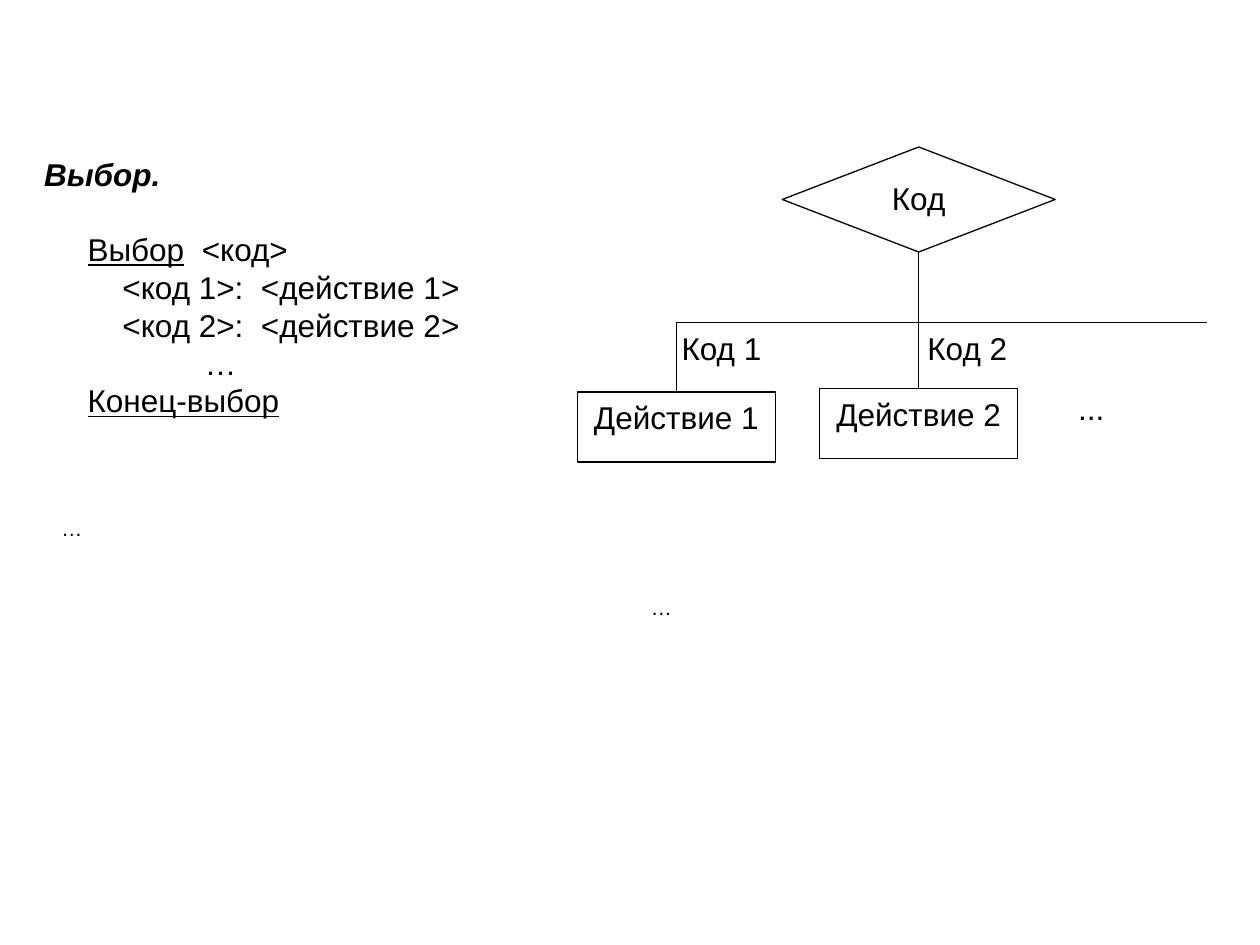
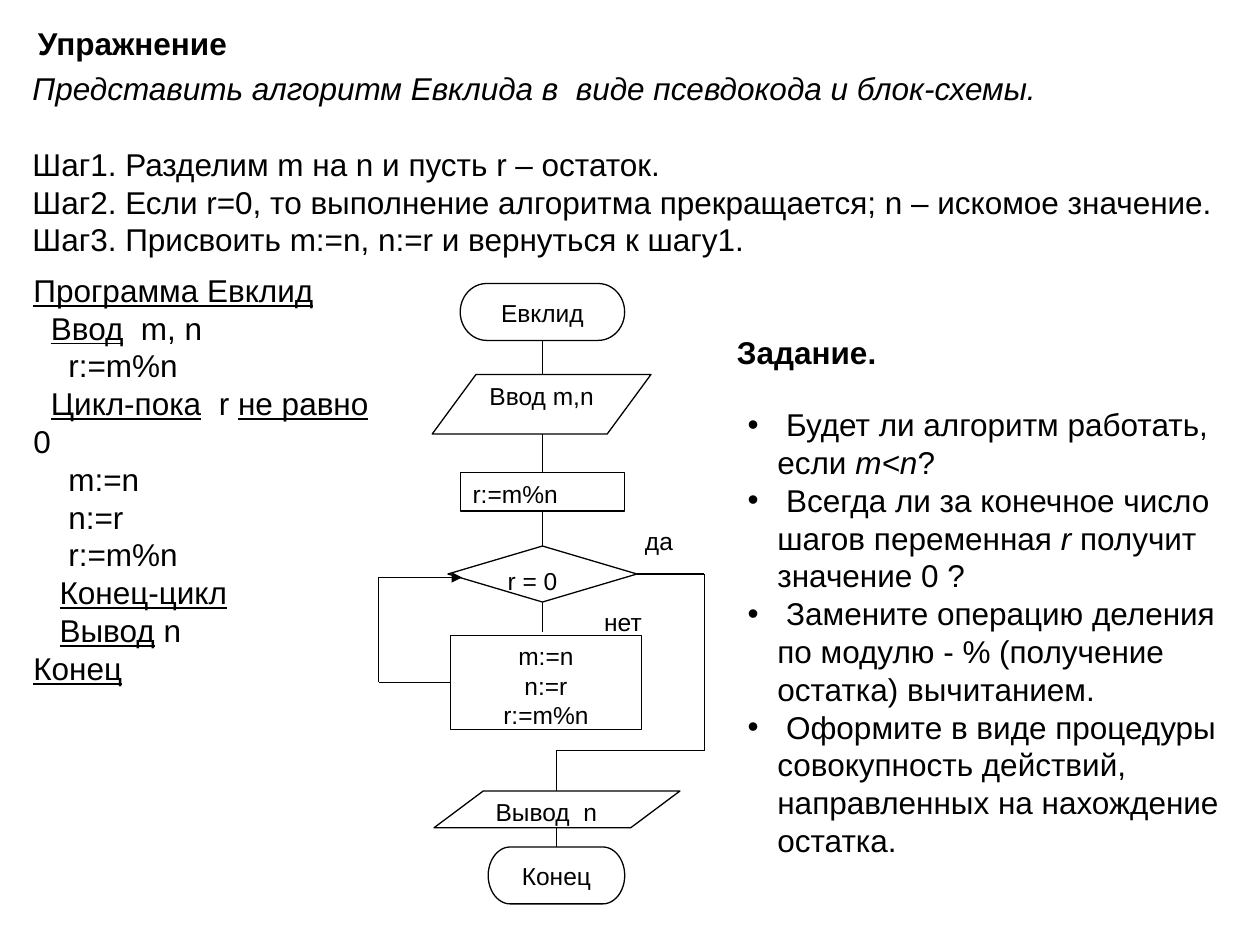
from lxml import etree
from pptx import Presentation
from pptx.dml.color import RGBColor
from pptx.enum import shapes, text
from pptx.oxml import ns
from pptx.util import Pt

COLOURS = {"ink": "000000", "paper": "FFFFFF"}
FONT = "Arial"
LARGE, MEDIUM, SMALL = 18, 14, 12
LEADING = 1.2
LEFT, CENTRE = text.PP_ALIGN.LEFT, text.PP_ALIGN.CENTER
TOP, MIDDLE = text.MSO_ANCHOR.TOP, text.MSO_ANCHOR.MIDDLE
BLOCK = shapes.MSO_SHAPE


def colour(name):
    return RGBColor.from_string(COLOURS[name])


class Deck:
    def __init__(self):
        self.prs = Presentation()
        self.prs.slide_width, self.prs.slide_height = Pt(720), Pt(540)
        self.slide = None

    def new_slide(self, layout):
        self.slide = self.prs.slides.add_slide(self.prs.slide_layouts[layout])

    def set_lines(self, shape, lines, size=LARGE, align=LEFT, anchor=TOP,
                  bold=None, italic=None, gaps=None, indents=None):
        """A line is a string or a list of (string, style) with style "", "u" or "i"."""
        frame = shape.text_frame
        frame.word_wrap = True
        frame.auto_size = text.MSO_AUTO_SIZE.NONE
        frame.vertical_anchor = anchor
        frame.margin_left = frame.margin_right = Pt(7.2)
        frame.margin_top = frame.margin_bottom = Pt(3.6)
        for i, line in enumerate(lines):
            para = frame.paragraphs[0] if i == 0 else frame.add_paragraph()
            para.alignment = align
            para.line_spacing = Pt(size * LEADING)
            para.space_before = Pt((gaps or {}).get(i, 0))
            if i in (indents or {}):
                self.indent(para, indents[i])
            font = para.font
            font.name, font.size = FONT, Pt(size)
            font.bold, font.italic = bold, italic
            font.color.rgb = colour("ink")
            for words, style in [(line, "")] if isinstance(line, str) else line:
                run = para.add_run()
                run.text = words
                if style == "u":
                    run.font.underline = True
                elif style == "i":
                    run.font.italic = True

    @staticmethod
    def indent(para, margin, first=0):
        props = para._p.get_or_add_pPr()
        props.set("marL", str(Pt(margin)))
        props.set("indent", str(Pt(first)))

    def place(self, shape, box):
        shape.left, shape.top, shape.width, shape.height = map(Pt, box)
        return shape

    def title(self, box, words, **style):
        self.set_lines(self.place(self.slide.shapes.title, box), [words], bold=True, **style)

    def bullets(self, box, lines, hang):
        body = self.place(self.slide.placeholders[1], box)
        self.set_lines(body, lines)
        for para in body.text_frame.paragraphs:
            self.indent(para, hang, -hang)

    def label(self, box, lines, **style):
        self.set_lines(self.slide.shapes.add_textbox(*map(Pt, box)), lines, **style)

    def block(self, kind, box, lines, align=CENTRE, size=MEDIUM):
        shape = self.slide.shapes.add_shape(kind, *map(Pt, box))
        shape.shadow.inherit = False
        shape.fill.solid()
        shape.fill.fore_color.rgb = colour("paper")
        shape.line.color.rgb = colour("ink")
        shape.line.width = Pt(0.75)
        self.set_lines(shape, lines, size=size, align=align)
        return shape

    def line(self, x1, y1, x2, y2, start=None, finish=None, arrow=False):
        """start and finish are (block, side) pairs to join."""
        link = self.slide.shapes.add_connector(
            shapes.MSO_CONNECTOR.STRAIGHT, Pt(x1), Pt(y1), Pt(x2), Pt(y2))
        link.line.color.rgb = colour("ink")
        link.line.width = Pt(0.75)
        props = link._element.spPr
        if arrow:
            etree.SubElement(props.find(ns.qn("a:ln")), ns.qn("a:tailEnd"), type="triangle")
        etree.SubElement(props, ns.qn("a:effectLst"))
        if start:
            link.begin_connect(*start)
        if finish:
            link.end_connect(*finish)


def choice_slide(deck):
    deck.new_slide(5)
    deck.title((18, 85, 252, 29), "Выбор.", italic=True)

    # Pseudocode
    deck.label((18, 128, 252, 116), [
        [("     ", ""), ("Выбор", "u"), ("  <код>", "")],
        "         <код 1>:  <действие 1>",
        "         <код 2>:  <действие 2>",
        "…",
        [("     ", ""), ("Конец-выбор", "u")],
    ], indents={3: 92})

    # Flowchart
    axis, branch_y = 525, 184.5
    code = deck.block(BLOCK.FLOWCHART_DECISION, (axis - 78, 84, 156, 60), ["Код"], size=LARGE)
    deck.line(axis, 144, axis, branch_y, start=(code, 2))
    deck.line(386.5, branch_y, 690, branch_y)
    for number, x, top, label_left in ((1, 386.5, 224, 373), (2, axis, 222, 513.5)):
        action = deck.block(BLOCK.FLOWCHART_PROCESS, (x - 56.5, top, 113, 40),
                            [f"Действие {number}"], size=LARGE)
        deck.line(x, branch_y, x, top, finish=(action, 0))
        deck.label((label_left, branch_y, 78.5, 42), [f"Код {number}"], align=CENTRE)
    deck.label((609, 219, 72, 45), ["..."])

    # Loose ellipses
    deck.label((18, 277, 76, 50), ["…"], size=SMALL, anchor=MIDDLE, indents={0: 10})
    deck.label((358, 336, 40, 19), ["…"], size=SMALL, align=CENTRE)


def euclid_flowchart(deck):
    axis, exit_x, exit_y, out_axis, loop_x = 310, 402.5, 429, 318, 216.5

    # Blocks
    begin = deck.block(BLOCK.FLOWCHART_TERMINATOR, (axis - 47, 162, 94, 32.5), ["Евклид"])
    deck.block(BLOCK.FLOWCHART_DATA, (axis - 63, 214, 125, 34), ["Ввод m,n"])
    remainder = deck.block(BLOCK.FLOWCHART_PROCESS, (axis - 47, 270, 94, 22),
                           ["r:=m%n"], align=LEFT)
    test = deck.block(BLOCK.FLOWCHART_DECISION, (axis - 54, 312, 108, 32),
                      ["r = 0"], align=LEFT)
    shift = deck.block(BLOCK.FLOWCHART_PROCESS, (257.5, 363, 109, 54),
                       ["m:=n", "n:=r", "r:=m%n"])
    deck.block(BLOCK.FLOWCHART_DATA, (248, 452, 140.5, 21), ["Вывод  n"], align=LEFT)
    end = deck.block(BLOCK.FLOWCHART_TERMINATOR, (out_axis - 39, 484, 78, 32.5), ["Конец"])

    # Main path
    deck.line(axis, 195, axis, 214, start=(begin, 2))
    deck.line(axis, 248, axis, 270, finish=(remainder, 0))
    deck.line(axis, 292, axis, 312, start=(remainder, 2), finish=(test, 0))
    deck.line(axis, 344, axis, 361, start=(test, 2))

    # Exit branch
    deck.line(364, 328, exit_x, 328, start=(test, 3))
    deck.line(exit_x, 328, exit_x, exit_y)
    deck.line(out_axis, exit_y, exit_x, exit_y)
    deck.line(out_axis, exit_y, out_axis, 452)
    deck.line(out_axis, 473, out_axis, 484, finish=(end, 0))

    # Loop back
    deck.line(loop_x, 390, 257.5, 390, finish=(shift, 1))
    deck.line(loop_x, 330, loop_x, 390)
    deck.line(loop_x, 330, 264, 330, arrow=True)

    deck.label((361.5, 297, 47, 22), ["да"], size=MEDIUM)
    deck.label((325, 343.5, 62, 22), ["нет"], size=MEDIUM, align=CENTRE)


def exercise_slide(deck):
    deck.new_slide(1)
    deck.title((14.5, 10, 136, 29), "Упражнение")

    # Task and steps
    deck.label((11.5, 36, 700, 115), [
        [("Представить алгоритм Евклида в  виде псевдокода и блок-схемы.", "i")],
        "Шаг1. Разделим m на n и пусть r – остаток.",
        "Шаг2. Если r=0, то выполнение алгоритма прекращается; n – искомое значение.",
        "Шаг3. Присвоить m:=n, n:=r и вернуться к шагу1.",
    ], gaps={1: LARGE * LEADING})

    # Pseudocode
    deck.label((12, 151, 212, 245), [
        [("Программа Евклид", "u")],
        [("  ", ""), ("Ввод", "u"), ("  m, n", "")],
        "    r:=m%n",
        [("  ", ""), ("Цикл-пока", "u"), ("  r ", ""), ("не равно", "u"), (" 0", "")],
        "    m:=n",
        "    n:=r",
        "    r:=m%n",
        [("   ", ""), ("Конец-цикл", "u")],
        [("   ", ""), ("Вывод", "u"), (" n", "")],
        [("Конец", "u")],
    ], anchor=MIDDLE)

    euclid_flowchart(deck)

    # Questions
    deck.label((414, 187, 96, 29), ["Задание."], bold=True)
    deck.bullets((420, 228, 288, 267), [
        [(" Будет ли алгоритм работать, если ", ""), ("m<n", "i"), ("?", "")],
        [(" Всегда ли за конечное число шагов переменная ", ""), ("r", "i"),
         (" получит значение 0 ?", "")],
        " Замените операцию деления по модулю - % (получение остатка) вычитанием.",
        " Оформите в виде процедуры совокупность действий, направленных на "
        "нахождение остатка.",
    ], hang=17)


def main():
    deck = Deck()
    choice_slide(deck)
    exercise_slide(deck)
    deck.prs.save("out.pptx")


if __name__ == "__main__":
    main()
